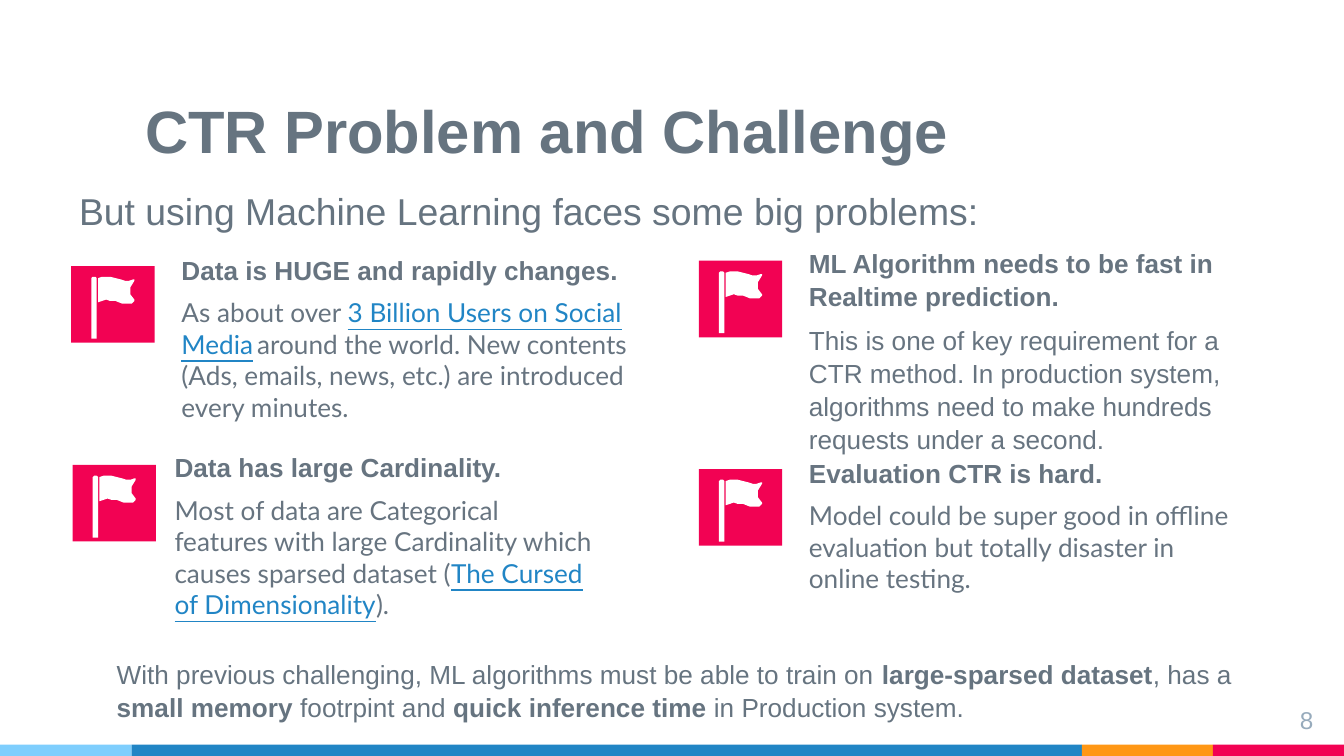
from lxml.etree import SubElement
from pptx import Presentation
from pptx.dml.color import RGBColor
from pptx.enum.shapes import MSO_SHAPE as Preset
from pptx.enum.text import MSO_ANCHOR as Anchor, MSO_AUTO_SIZE as AutoSize, PP_ALIGN as Align
from pptx.oxml.ns import qn
from pptx.util import Inches, Pt

CELL = 0.1
SLATE, GREY, PALE = "667480", "677480", "97ABBC"
PINK, BLUE, SKY, ORANGE, WHITE = "F20253", "2185C5", "7ECEFD", "FF9715", "FFFFFF"

POLE = [(15, 10), (15, 9), (16, 8), (18, 8), (19, 9), (19, 10), (19, 54), (15, 54)]
BANNER = [(20, 9), (23, 8), (26, 7.5), (29, 8), (33, 9), (37, 10.5), (40, 11),
          (43, 10.7), (46, 9.7), (47, 10), (47, 11), (44, 16.5), (43.5, 19),
          (44, 21), (47, 25), (47, 26.5), (45, 28), (41, 28.5), (38, 28),
          (33, 26.5), (29, 25.5), (26, 25), (23, 25.5), (20, 27)]


def color(hex_code):
    return RGBColor.from_string(hex_code)


def cells(*counts):
    return [Inches(count * CELL) for count in counts]


def write(paragraph, text, font="Arial", size=14, hue=GREY, bold=False,
          underline=False, raised=False):
    run = paragraph.add_run()
    run.text = text
    run.font.name = font
    run.font.size = Pt(size)
    run.font.bold = bold
    run.font.underline = underline
    run.font.color.rgb = color(hue)
    if raised:
        run.font._element.set("baseline", "30000")


class Deck:
    def __init__(self, width, height):
        self.file = Presentation()
        self.file.slide_width, self.file.slide_height = cells(width, height)
        self.slide = self.file.slides.add_slide(self.file.slide_layouts[1])
        self.shapes = self.slide.shapes

    def paint(self, shape, hue):
        shape.fill.solid()
        shape.fill.fore_color.rgb = color(hue)
        shape.line.fill.background()
        shape.shadow.inherit = False

    def block(self, owner, area, hue):
        self.paint(owner.add_shape(Preset.RECTANGLE, *cells(*area)), hue)

    def outline(self, owner, left, top, points):
        builder = owner.build_freeform(*points[0], scale=Inches(0.01))
        builder.add_line_segments(points[1:], close=True)
        self.paint(builder.convert_to_shape(*cells(left, top)), WHITE)

    def flag(self, left, top):
        icon = self.shapes.add_group_shape().shapes
        self.block(icon, (left, top, 6.2, 5.7), PINK)
        for points in (POLE, BANNER):
            self.outline(icon, left, top, points)

    def text(self, area, paragraphs, holder=None, anchor=Anchor.TOP, inset=1,
             align=Align.LEFT, before=0, spacing=1.05, indent=0):
        box = holder or self.shapes.add_textbox(*cells(*area))
        box.left, box.top, box.width, box.height = cells(*area)
        frame = box.text_frame
        frame.word_wrap = True
        frame.auto_size = AutoSize.NONE
        frame.vertical_anchor = anchor
        frame.margin_left, frame.margin_right = cells(1, 1)
        frame.margin_top, frame.margin_bottom = cells(inset, inset)
        for order, runs in enumerate(paragraphs):
            paragraph = frame.add_paragraph() if order else frame.paragraphs[0]
            paragraph.alignment = align
            paragraph.space_before = Pt(before)
            lato = any(style.get("font") == "Lato" for _, style in runs)
            paragraph.line_spacing = 1.0 if lato else spacing
            properties = paragraph._p.get_or_add_pPr()
            properties.set("marL", str(cells(indent)[0]))
            properties.set("indent", "0")
            SubElement(properties, qn("a:buNone"))
            for words, style in runs:
                write(paragraph, words, **style)

    def challenge(self, icon, area, heading, details, holder=None):
        self.text(area, [[(heading, {"bold": True})], details], holder, before=6)
        self.flag(*icon)


def main():
    deck = Deck(100, 56.25)
    title, body = deck.slide.placeholders

    left = 0
    for width, hue in ((9.8, SKY), (70.7, BLUE), (9.75, ORANGE), (9.75, PINK)):
        deck.block(deck.shapes, (left, 55.4, width, 0.85), hue)
        left += width

    deck.text((9.8, 3.9, 70.7, 9.4),
              [[("CTR Problem and Challenge", {"size": 32, "hue": SLATE, "bold": True})]],
              title, anchor=Anchor.BOTTOM, spacing=1.0)
    deck.text((4.9, 12.8, 90.3, 5.5),
              [[("But using Machine Learning faces some big problems:",
                 {"size": 20, "hue": SLATE})]])

    lato = {"font": "Lato"}
    link = {"font": "Lato", "hue": BLUE, "underline": True}
    deck.challenge(
        (5.3, 19.8), (12.5, 17.8, 36.2, 12.5), "Data is HUGE and rapidly changes.",
        [("As about over ", lato),
         ("3 Billion Users on Social Media", link),
         (" ", {"font": "Lato", "raised": True}),
         ("around the world. New contents (Ads, emails, news, etc.) "
          "are introduced every minutes.", lato)], body)
    deck.challenge(
        (5.4, 34.6), (12, 32.5, 33.5, 12.5), "Data has large Cardinality.",
        [("Most of data are Categorical features with large Cardinality "
          "which causes sparsed dataset (", lato),
         ("The Cursed of Dimensionality", link),
         (").", lato)])
    deck.challenge(
        (52, 19.4), (59.2, 17.3, 33.5, 18.6),
        "ML Algorithm needs to be fast in Realtime prediction.",
        [("This is one of key requirement for a CTR method. In production system, "
          "algorithms need to make hundreds requests under a second.", {})])
    deck.challenge(
        (52, 34.9), (59.2, 32.9, 33.5, 16), "Evaluation CTR is hard.",
        [("Model could be super good in offline evaluation but totally "
          "disaster in online testing.", lato)])

    plain, strong = {"hue": SLATE}, {"hue": SLATE, "bold": True}
    deck.text((3.9, 48.4, 91.3, 5.7), [[
        ("With previous challenging, ML algorithms must be able to train on ", plain),
        ("large-sparsed dataset", strong),
        (", has a ", plain),
        ("small memory ", strong),
        ("footrpint and ", plain),
        ("quick inference time ", strong),
        ("in Production system.", plain)]], inset=0.5, indent=3.8)
    deck.text((92.7, 51.4, 6, 3.4), [[("8", {"size": 13, "hue": PALE})]], align=Align.RIGHT)

    deck.file.save("out.pptx")


if __name__ == "__main__":
    main()
